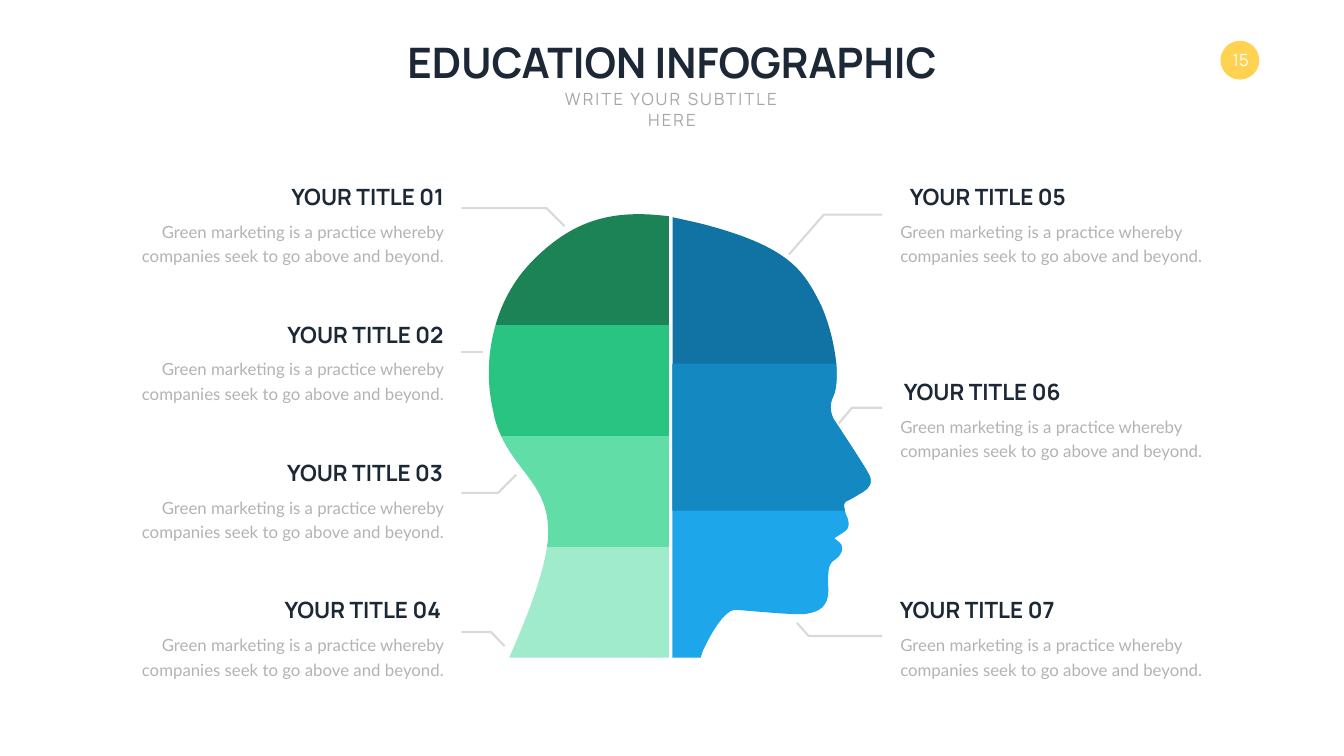
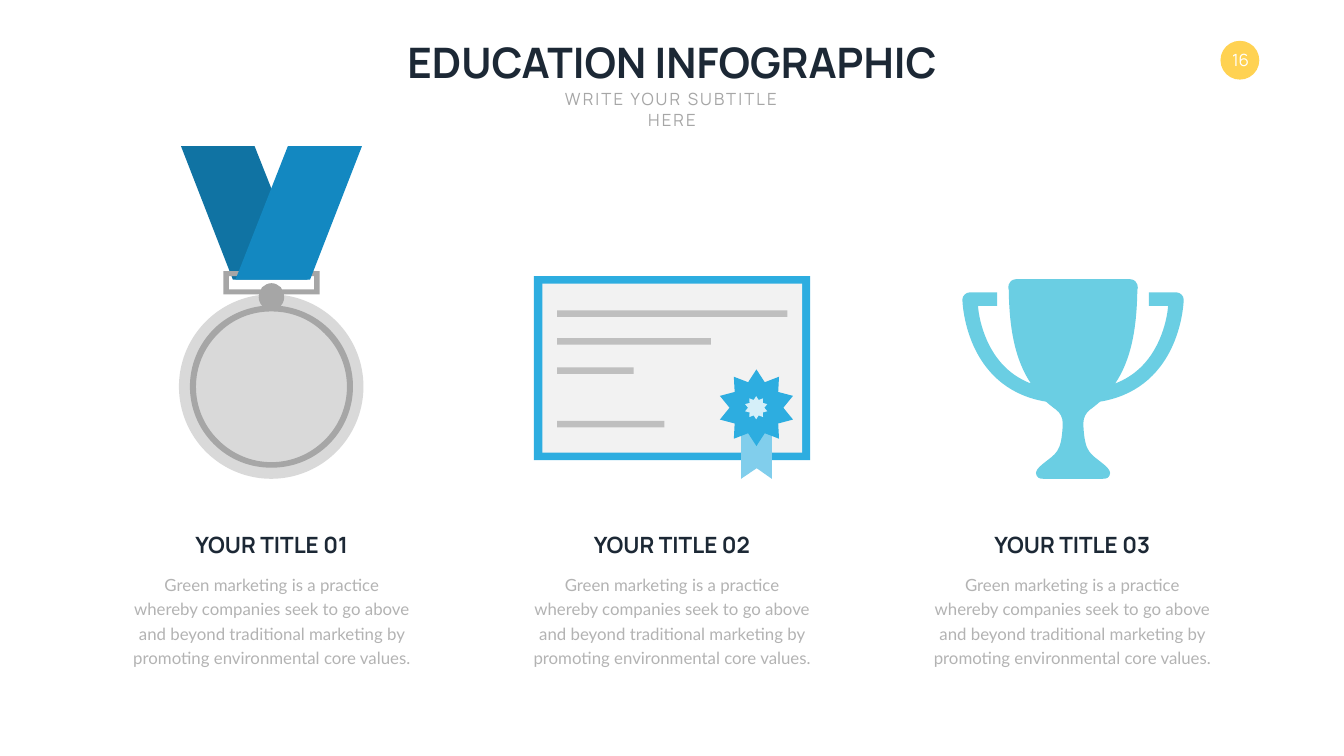
"""Build two education infographic slides: a seven-part head and three awards."""
from lxml.etree import SubElement
from pptx import Presentation
from pptx.dml.color import RGBColor
from pptx.enum.shapes import MSO_CONNECTOR, MSO_SHAPE
from pptx.enum.text import MSO_ANCHOR, MSO_AUTO_SIZE, PP_ALIGN
from pptx.oxml.ns import qn
from pptx.util import Inches, Pt

WIDE, HIGH = 26.66, 15
HUES = {
    "ink": "1C2835", "sub": "A6A6A6", "body": "B3B3B3", "white": "FFFFFF",
    "gold": "FFD252", "rule": "D9D9D9", "steel": "A6A6A6", "bar": "BFBFBF",
    "paper": "F2F2F2", "navy": "1073A3", "blue": "1388C1", "sky": "1DA6E9",
    "pine": "1C8357", "green": "2AC482", "mint": "61DDA8", "pale": "A0EBCB",
    "frame": "2DADE0", "tail": "81CEEC", "core": "D5EFF9", "aqua": "6ACEE3",
}
LEFT, MID, RIGHT = PP_ALIGN.LEFT, PP_ALIGN.CENTER, PP_ALIGN.RIGHT
TOP, CENTER = MSO_ANCHOR.TOP, MSO_ANCHOR.MIDDLE
RECT, DISC, STAR = MSO_SHAPE.RECTANGLE, MSO_SHAPE.OVAL, MSO_SHAPE.STAR_10_POINT

prs = Presentation()
prs.slide_width, prs.slide_height = Inches(WIDE), Inches(HIGH)


def write(box, words, size, hue, align, face="Manrope", bold=False,
          anchor=TOP, wrap=False, lead=None, space=0):
    """Put one styled run of text into a box."""
    frame = box.text_frame
    frame.word_wrap, frame.vertical_anchor = wrap, anchor
    frame.auto_size = MSO_AUTO_SIZE.SHAPE_TO_FIT_TEXT
    para = frame.paragraphs[0]
    para.alignment = align
    if lead:
        para.line_spacing = Pt(lead)
    run = para.add_run()
    run.text = words
    run.font.size, run.font.name, run.font.bold = Pt(size), face, bold
    run.font.color.rgb = RGBColor.from_string(HUES[hue])
    if space:
        run._r.get_or_add_rPr().set("spc", str(space * 100))


def draw(slide, kind, form, hue, span=None, stroke=None):
    """Draw a preset in a box, or an outline of lines and curves; span sums mirrored x values."""
    if kind:
        shape = slide.shapes.add_shape(kind, *[Inches(n) for n in form])
    else:
        loops, dots = [], []
        for loop in form.split("|"):
            rows = [[float(n) for n in part.split()] for part in loop.split("/")]
            parts = [list(zip(row[::2], row[1::2])) for row in rows]
            if span:
                flat = [[(span - x, y) for x, y in part] for part in parts]
                parts.append([flat[-1][-1]])
                for prior, part in reversed(list(zip(flat, flat[1:]))):
                    parts.append(part[-2::-1] + [prior[-1]])
            for prior, part in zip(parts[:1] + parts, parts):
                if len(part) == 1:
                    dots += part
                    continue
                a, (b, c, d) = prior[-1], part
                for step in range(1, 21):
                    t = step / 20
                    u = 1 - t
                    dots.append([u**3 * a[i] + 3 * u * u * t * b[i] + 3 * u * t * t * c[i]
                                 + t**3 * d[i] for i in (0, 1)])
            loops.append(parts)
        low, far = [[round(1000 * pick(axis)) for axis in zip(*dots)] for pick in (min, max)]
        pen = slide.shapes.build_freeform(*low, scale=914.4)
        pen.add_line_segments([far], close=False)
        shape = pen.convert_to_shape()
        trail = shape._element.spPr.find(".//" + qn("a:path"))
        for node in list(trail):
            trail.remove(node)
        for parts in loops:
            for num, part in enumerate(parts):
                tag = "a:moveTo" if num == 0 else "a:lnTo" if len(part) == 1 else "a:cubicBezTo"
                node = SubElement(trail, qn(tag))
                for x, y in part:
                    SubElement(node, qn("a:pt"), x=str(round(x * 1000) - low[0]),
                               y=str(round(y * 1000) - low[1]))
            if not stroke:
                SubElement(trail, qn("a:close"))
    shape.shadow.inherit = False
    if stroke:
        shape.fill.background()
        shape.line.width = Pt(stroke)
        shape.line.color.rgb = RGBColor.from_string(HUES[hue])
    else:
        shape.fill.solid()
        shape.fill.fore_color.rgb = RGBColor.from_string(HUES[hue])
        shape.line.fill.background()
    return shape


pages = []
for page in (15, 16):
    slide = prs.slides.add_slide(prs.slide_layouts[5])
    pages.append(slide)
    draw(slide, DISC, (24.21, 0.81, 0.77, 0.77), "gold")
    badge = draw(slide, DISC, (24.21, 0.79, 0.8, 0.8), "gold")
    badge.fill.background()
    write(badge, str(page), 24, "white", MID, anchor=CENTER)
    head = slide.shapes.title
    head.left, head.top = Inches((WIDE - 11.19) / 2), Inches(0.67)
    head.width, head.height = Inches(11.19), Inches(1.11)
    write(head, "EDUCATION INFOGRAPHIC", 60, "ink", MID, bold=True)
    sub = slide.shapes.add_textbox(
        Inches((WIDE - 5.43) / 2), Inches(1.72), Inches(5.43), Inches(0.5))
    write(sub, "WRITE YOUR SUBTITLE HERE", 24, "sub", MID, space=3)

mind, prize = pages

for path in (
    "15.65 5.05 / 16.34 4.26 / 17.5 4.26",
    "17.5 12.62 / 16.04 12.62 / 15.81 12.36",
    "17.5 8.09 / 16.9 8.09 / 16.64 8.4",
    "11.2 4.49 / 10.84 4.13 / 9.15 4.13",
    "9.15 9.78 / 9.88 9.78 / 10.24 9.42",
    "9.15 12.54 / 9.74 12.54 / 10.01 12.82",
):
    draw(mind, None, path, "rule", stroke=3)
link = mind.shapes.add_connector(
    MSO_CONNECTOR.STRAIGHT, Inches(9.58), Inches(6.98), Inches(9.15), Inches(6.98))
link.line.width = Pt(3)
link.line.color.rgb = RGBColor.from_string(HUES["rule"])
SubElement(link._element.spPr, qn("a:effectLst"))

nose = (
    "13.34 7.22 / 16.59 7.22 / 16.61 7.5 16.59 7.73 16.54 7.84"
    "/ 16.4 8.09 16.54 8.32 16.54 8.32 / 16.54 8.32 17.11 9.18 17.22 9.38"
    "/ 17.34 9.57 17.24 9.69 17.12 9.76 / 17 9.83 16.86 9.92 16.78 9.95"
)
jaw = (
    "/ 16.7 9.99 16.77 10.19 16.81 10.27 / 16.84 10.36 16.87 10.47 16.75 10.55"
    "/ 16.63 10.63 16.55 10.68 16.55 10.68 / 16.55 10.68 16.55 10.68 16.65 10.76"
    "/ 16.76 10.85 16.7 11.01 16.57 11.1 / 16.44 11.19 16.42 11.25 16.43 11.66"
    "/ 16.45 12.06 16.23 12.14 15.99 12.18 / 15.76 12.21 14.89 12.12 14.6 12.1"
    "/ 14.31 12.08 13.94 12.92 13.94 12.92 / 13.93 12.94 13.93 12.96 13.92 12.98"
    "/ 13.91 13 13.91 13.02 13.9 13.05 / 13.34 13.05"
)
for path, hue in (
    ("13.34 4.31 / 13.52 4.35 13.71 4.39 13.92 4.44 / 15.65 4.89 15.93 5.36 16.26 6"
     "/ 16.44 6.37 16.55 6.84 16.59 7.22 / 13.34 7.22", "navy"),
    (nose + jaw, "sky"),
    (nose + "/ 16.73 9.97 16.74 10.05 16.76 10.13 / 13.34 10.13", "blue"),
    ("12.7 4.25 / 12.88 4.25 13.07 4.27 13.27 4.29 / 13.27 6.45 / 9.83 6.45"
     "/ 9.97 5.95 10.24 5.48 10.64 5.1 / 11.21 4.55 11.82 4.24 12.7 4.25", "pine"),
    ("13.27 10.85 / 13.27 13.05 / 10.1 13.05"
     "/ 10.42 12.33 10.76 11.47 10.85 10.85", "pale"),
    ("13.27 8.65 / 13.27 10.85 / 10.85 10.85 / 10.86 10.79 10.87 10.73 10.87 10.67"
     "/ 10.93 9.68 10.29 9.41 9.94 8.65", "mint"),
    ("13.27 6.45 / 13.27 8.65 / 9.94 8.65 / 9.88 8.51 9.82 8.37 9.79 8.19"
     "/ 9.65 7.6 9.67 7 9.83 6.45", "green"),
):
    draw(mind, None, path, hue)

for num, (top, left, width) in enumerate((
    (3.58, 5.68, 3.23), (6.31, 5.58, 3.32), (9.05, 5.55, 3.34), (11.78, 5.48, 3.37),
    (3.58, 17.95, 3.36), (7.45, 17.83, 3.35), (11.78, 17.75, 3.3),
), 1):
    side, edge = (RIGHT, 1.66) if num < 5 else (LEFT, 17.76)
    name = mind.shapes.add_textbox(Inches(left), Inches(top), Inches(width), Inches(0.64))
    write(name, f"YOUR TITLE {num:02}", 32, "ink", side, bold=True, anchor=CENTER)
    note = mind.shapes.add_textbox(
        Inches(edge), Inches(top + 0.68), Inches(7.24), Inches(1.03))
    write(note, "Green marketing is a practice whereby companies seek to go above and beyond.",
          24, "body", side, face="Lato", wrap=True, lead=35)

clasp = (
    "4.43 5.38 / 4.43 5.84 / 5.14 5.84 / 5.12 5.92 5.14 6 5.2 6.07"
    "/ 5.2 6.07 5.21 6.07 5.21 6.07 / 4.86 6.11 4.51 6.26 4.24 6.53"
    "/ 3.61 7.16 3.61 8.18 4.24 8.81 / 4.56 9.13 4.97 9.28 5.38 9.28"
    "| 4.54 5.48 / 4.54 5.74 / 5.18 5.74 / 5.19 5.73 5.19 5.71 5.2 5.7"
    "/ 5.25 5.65 5.32 5.62 5.38 5.62"
    "| 5.38 6.18 / 5 6.18 4.62 6.32 4.33 6.62 / 3.74 7.2 3.74 8.15 4.33 8.73"
    "/ 4.62 9.02 5 9.17 5.38 9.17"
)
cup = (
    "21.87 9.5 / 21.91 9.5 21.94 9.5 21.97 9.48"
    "/ 22.02 9.44 22.08 9.36 21.89 9.21 / 21.62 8.99 21.52 8.99 21.49 8.45"
    "/ 21.49 8.41 21.49 8.39 21.49 8.39 / 21.49 8.29 21.54 8.19 21.62 8.13"
    "/ 21.69 8.08 21.75 8.03 21.82 7.97 / 22.49 7.86 22.98 7.48 23.26 6.86"
    "/ 23.47 6.39 23.48 5.96 23.48 5.94 / 23.48 5.9 23.46 5.87 23.43 5.84"
    "/ 23.41 5.82 23.37 5.8 23.33 5.8 / 22.79 5.8 / 22.79 6.07 / 23.17 6.07"
    "/ 23.16 6.23 23.11 6.49 22.99 6.76 / 22.8 7.18 22.51 7.46 22.12 7.61"
    "/ 22.43 7.15 22.55 6.54 22.56 5.75 / 22.56 5.74 22.56 5.73 22.57 5.71"
    "/ 22.57 5.67 22.56 5.62 22.52 5.58 / 22.5 5.56 22.46 5.54 22.42 5.54"
)
draw(prize, RECT, (10.59, 5.48, 5.48, 3.65), "frame")
draw(prize, RECT, (10.76, 5.63, 5.15, 3.35), "paper")
for top, width in ((6.16, 4.57), (6.71, 3.05), (7.29, 1.52), (8.35, 2.13)):
    draw(prize, RECT, (11.05, top, width, 0.13), "bar")
draw(prize, None, "14.7 8.52 / 15.31 8.52 / 15.31 9.5 / 15.01 9.29 / 14.7 9.5", "tail")
for form, hue in (((14.28, 7.33, 1.45, 1.52), "frame"), ((14.78, 7.86, 0.44, 0.46), "core")):
    star = draw(prize, STAR, form, hue)
    star.adjustments[0] = 0.35
draw(prize, None, cup, "aqua", span=42.57)
draw(prize, None, "3.59 2.9 / 5.05 2.9 / 6.1 5.55 / 4.62 5.55", "navy")
draw(prize, DISC, (3.55, 5.84, 3.66, 3.66), "rule")
draw(prize, None, clasp, "steel", span=10.77)
draw(prize, None, "7.18 2.9 / 5.71 2.9 / 4.67 5.55 / 6.15 5.55", "blue")

for col, width in enumerate((3.23, 3.32, 3.34)):
    mid = WIDE / 2 + (col - 1) * 7.94
    name = prize.shapes.add_textbox(
        Inches(mid - width / 2), Inches(10.48), Inches(width), Inches(0.64))
    write(name, f"YOUR TITLE {col + 1:02}", 32, "ink", MID, bold=True, anchor=CENTER)
    note = prize.shapes.add_textbox(
        Inches(mid - 5.73 / 2), Inches(11.26), Inches(5.73), Inches(2.01))
    write(note, "Green marketing is a practice whereby companies seek to go above and beyond "
          "traditional marketing by promoting environmental core values.",
          24, "body", MID, face="Lato", wrap=True, lead=35)

prs.save("out.pptx")
